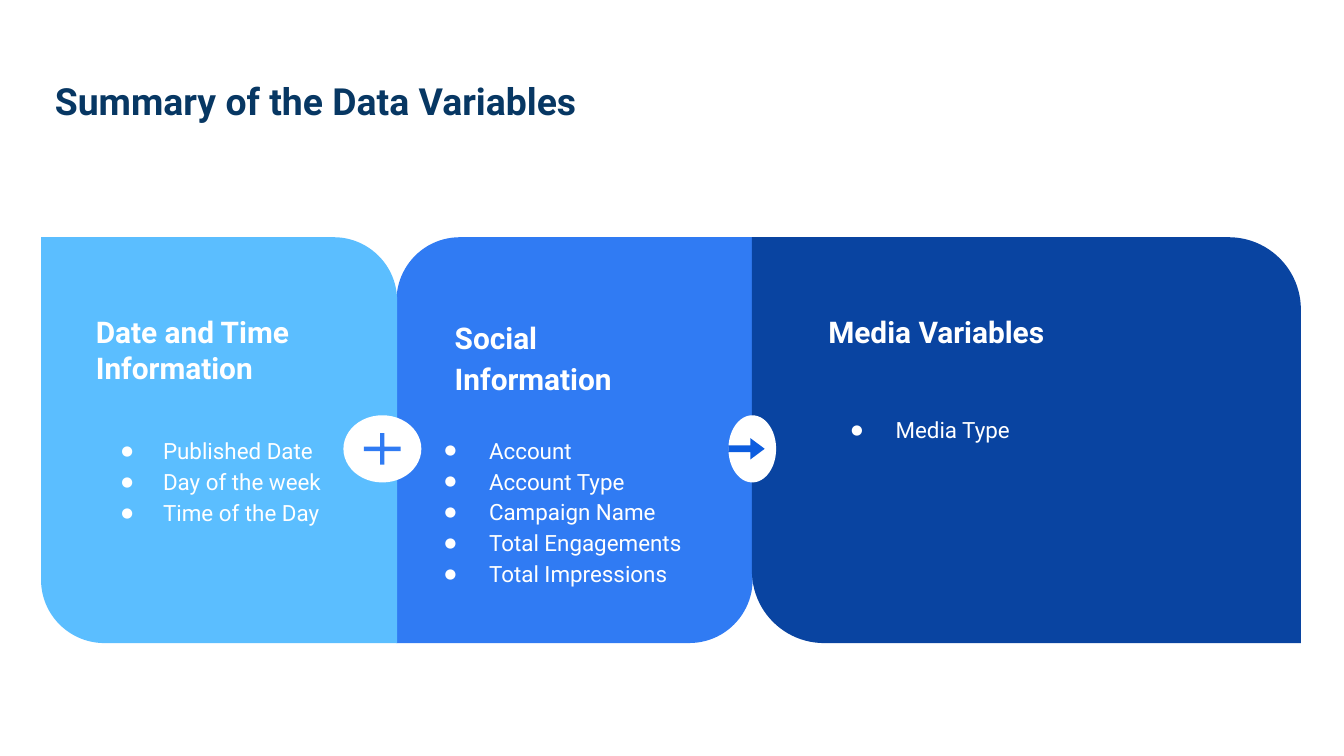
import pptx
import pptx.dml.color
import pptx.enum.shapes
import pptx.enum.text
import pptx.oxml
import pptx.oxml.ns
import pptx.util

PX = 4572  # EMU per px, 200 px to the inch
COLORS = {
    "white": "FFFFFF",
    "navy": "073763",
    "sky": "5BBEFF",
    "blue": "307BF3",
    "deep": "0944A1",
    "arrow": "0D5DDF",
}
SHAPES = pptx.enum.shapes.MSO_SHAPE
ANCHORS = pptx.enum.text.MSO_ANCHOR

presentation = pptx.Presentation()
presentation.slide_width = 2000 * PX
presentation.slide_height = 1125 * PX
slide = presentation.slides.add_slide(presentation.slide_layouts[6])


def add_filled_shape(kind, box, color, adjustments=()):
    shape = slide.shapes.add_shape(kind, *[length * PX for length in box])
    shape.shadow.inherit = False
    shape.fill.solid()
    shape.fill.fore_color.rgb = pptx.dml.color.RGBColor.from_string(COLORS[color])
    shape.line.fill.background()
    for index, value in enumerate(adjustments):
        shape.adjustments[index] = value


def add_text(box, lines, size, color="white", bold=False, anchor=ANCHORS.TOP,
             spacing=1.0, after=0, hanging=None):
    text_box = slide.shapes.add_textbox(*[length * PX for length in box])
    frame = text_box.text_frame
    frame.word_wrap = True
    frame.vertical_anchor = anchor
    frame.margin_left = frame.margin_right = 20 * PX
    frame.margin_top = frame.margin_bottom = 20 * PX
    for index, line in enumerate(lines):
        paragraph = frame.add_paragraph() if index else frame.paragraphs[0]
        paragraph.line_spacing = spacing
        paragraph.space_after = pptx.util.Pt(after)
        run = paragraph.add_run()
        run.text = line
        run.font.name = "Roboto"
        run.font.size = pptx.util.Pt(size)
        run.font.bold = bold
        run.font.color.rgb = pptx.dml.color.RGBColor.from_string(COLORS[color])
        if hanging:
            properties = paragraph._p.get_or_add_pPr()
            properties.set("marL", str(100 * PX))
            properties.set("indent", str(-hanging * PX))
            namespace = pptx.oxml.ns.nsdecls("a")
            for bullet in (
                f'<a:buClr {namespace}><a:srgbClr val="{COLORS[color]}"/></a:buClr>',
                f'<a:buSzPct {namespace} val="60000"/>',
                f'<a:buFont {namespace} typeface="Roboto"/>',
                f'<a:buChar {namespace} char="●"/>',
            ):
                properties.append(pptx.oxml.parse_xml(bullet))


# Title
add_text((62, 107, 950, 86), ["Summary of the Data Variables"], 20, "navy",
         bold=True, anchor=ANCHORS.MIDDLE)

# Panels: left, width, colour, corner rounding, heading, heading box and
# spacing, list, list box and hanging indent
panels = [
    (590, 530, "blue", (0.178, 0),
     ["Social Information"], (657, 448, 396, 176), 1.15, 11,
     ["Account", "Account Type", "Campaign Name", "Total Engagements",
      "Total Impressions"], (608, 624, 476, 196), 66),
    (61, 530, "sky", (0, 0.178),
     ["Date and Time", "Information"], (123, 447, 396, 176), 1.0, 0,
     ["Published Date", "Day of the week", "Time of the Day"],
     (123, 625, 396, 196), 62),
    (1119, 817, "deep", (0, 0.178),
     ["Media Variables"], (1213, 447, 658, 176), 1.0, 0,
     ["Media Type"], (1213, 594, 658, 300), 66),
]
for (left, width, color, corners, heading, heading_box, spacing, after,
     items, list_box, hanging) in panels:
    add_filled_shape(SHAPES.ROUND_2_DIAG_RECTANGLE, (left, 353, width, 604),
                     color, corners)
    add_text(heading_box, heading, 16, bold=True, spacing=spacing, after=after)
    add_text(list_box, items, 12, spacing=1.15, hanging=hanging)

# Arrow badge
add_filled_shape(SHAPES.OVAL, (1084, 618, 71, 100), "white")
add_filled_shape(SHAPES.RIGHT_ARROW, (1084, 652, 54, 32), "arrow", (0.32, 0.67))

# Plus badge
add_filled_shape(SHAPES.OVAL, (511, 618, 116, 100), "white")
add_filled_shape(SHAPES.MATH_PLUS, (532, 636, 74, 64), "blue", (0.1,))

presentation.save("out.pptx")
